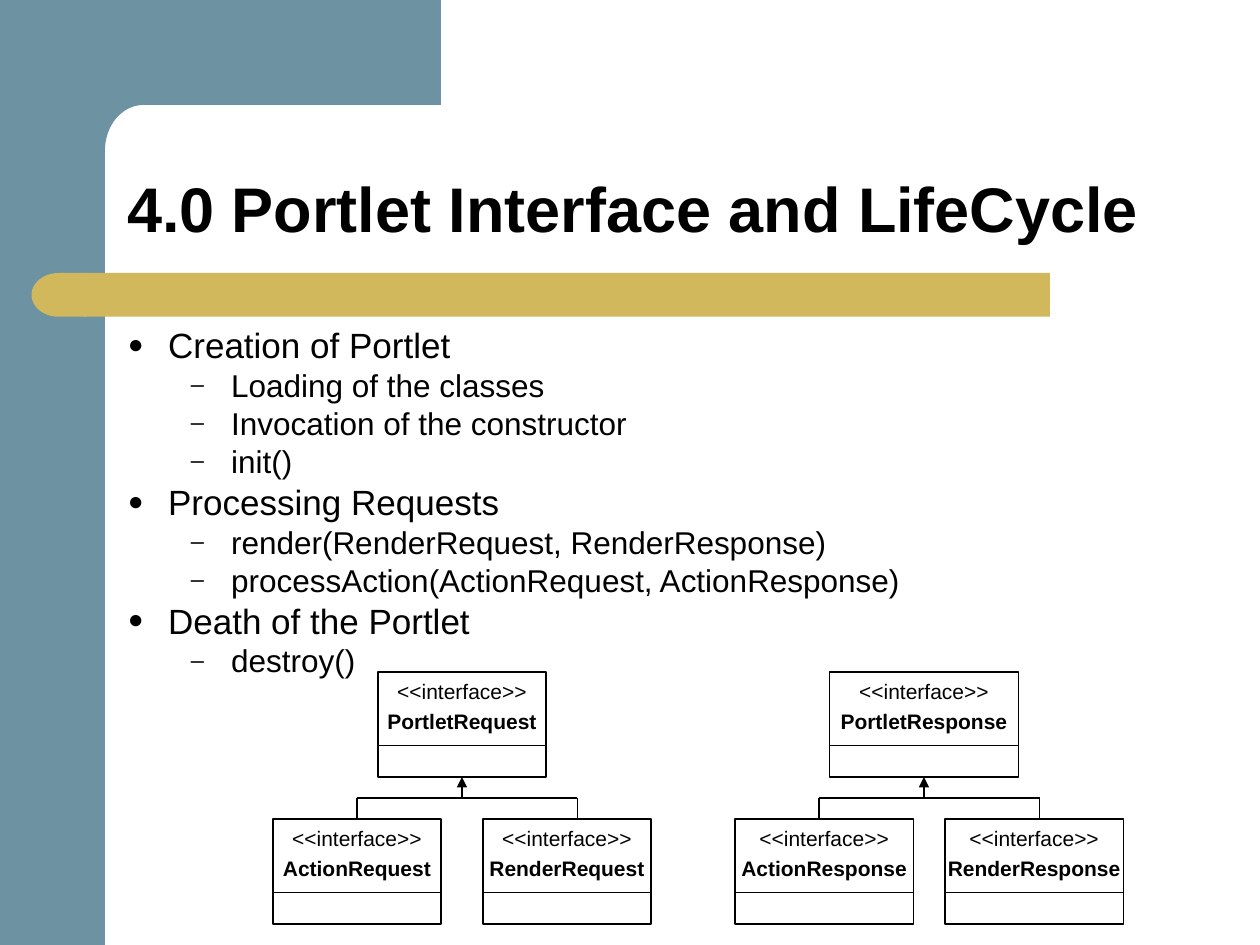
from dataclasses import dataclass
from math import cos, pi, sin

from lxml import etree
from pptx import Presentation
from pptx.dml.color import RGBColor
from pptx.enum.shapes import MSO_CONNECTOR, MSO_SHAPE
from pptx.enum.text import MSO_ANCHOR, PP_ALIGN
from pptx.oxml.ns import qn
from pptx.util import Pt

RECTANGLE, ROUND_CAP = MSO_SHAPE.RECTANGLE, MSO_SHAPE.FLOWCHART_DELAY
STRAIGHT = MSO_CONNECTOR.STRAIGHT
TOP, BOTTOM = MSO_ANCHOR.TOP, MSO_ANCHOR.BOTTOM
CENTER = PP_ALIGN.CENTER
TOP_SIDE, BOTTOM_SIDE = 0, 2


@dataclass(frozen=True)
class Theme:
    font: str = "Arial"
    ink: RGBColor = RGBColor(0x00, 0x00, 0x00)
    slate: RGBColor = RGBColor(0x6D, 0x92, 0xA2)
    gold: RGBColor = RGBColor(0xD1, 0xB8, 0x5C)
    title_size: float = 36
    topic_size: float = 20
    step_size: float = 18
    class_size: float = 12
    line_width: float = 0.75


THEME = Theme()

TITLE = "4.0 Portlet Interface and LifeCycle"
LIFECYCLE = [
    ("Creation of Portlet",
     ["Loading of the classes", "Invocation of the constructor", "init()"]),
    ("Processing Requests",
     ["render(RenderRequest, RenderResponse)",
      "processAction(ActionRequest, ActionResponse)"]),
    ("Death of the Portlet", ["destroy()"]),
]

# Class diagram rows; each class is (name, left, width)
PARENT_TOP, BUS_Y, CHILD_TOP = 384, 456, 468
CLASS_HEIGHT, NAME_HEIGHT = 60, 42
HIERARCHIES = [
    {"parent": ("PortletRequest", 216, 96),
     "children": [("ActionRequest", 156, 96), ("RenderRequest", 276, 96)],
     "stems": [204, 330]},
    {"parent": ("PortletResponse", 474, 108),
     "children": [("ActionResponse", 420, 102), ("RenderResponse", 540, 102)],
     "stems": [468, 594]},
]


def set_all(target, **values):
    for attribute, value in values.items():
        setattr(target, attribute, value)


def write(paragraph, text, size, bold=False, **layout):
    paragraph.text = text
    set_all(paragraph, **layout)
    set_all(paragraph.font, name=THEME.font, size=Pt(size), bold=bold)
    paragraph.font.color.rgb = THEME.ink


def add_bullet(paragraph, char, margin, hanging):
    properties = paragraph._p.get_or_add_pPr()
    properties.set("marL", str(Pt(margin)))
    properties.set("indent", str(-Pt(hanging)))
    etree.SubElement(properties, qn("a:buSzPct"), val="75000")
    etree.SubElement(properties, qn("a:buFont"), typeface=THEME.font)
    etree.SubElement(properties, qn("a:buChar"), char=char)


def paint(shape, color):
    shape.shadow.inherit = False
    shape.fill.solid()
    shape.fill.fore_color.rgb = color
    shape.line.fill.background()


def add_block(slide, kind, left, top, width, height, color):
    block = slide.shapes.add_shape(kind, Pt(left), Pt(top), Pt(width), Pt(height))
    paint(block, color)
    return block


def add_text_frame(slide, left, top, width, height, anchor):
    box = slide.shapes.add_textbox(Pt(left), Pt(top), Pt(width), Pt(height))
    set_all(box.text_frame, word_wrap=True, vertical_anchor=anchor)
    return box.text_frame


def add_line(slide, x1, y1, x2, y2, arrow=False):
    line = slide.shapes.add_connector(STRAIGHT, Pt(x1), Pt(y1), Pt(x2), Pt(y2))
    line.line.color.rgb = THEME.ink
    line.line.width = Pt(THEME.line_width)
    if arrow:
        etree.SubElement(line.line._get_or_add_ln(), qn("a:tailEnd"), type="triangle")
    etree.SubElement(line._element.spPr, qn("a:effectLst"))
    return line


def add_corner(slide):
    """Top band whose inner edge turns into the side band on a rounded corner."""
    center_x, center_y, radius_x, radius_y, steps = 82, 86, 22, 26, 16
    angles = [pi / 2 * step / steps for step in range(steps + 1)]
    curve = [(center_x - radius_x * sin(a), center_y - radius_y * cos(a))
             for a in angles]
    outline = [(252, 0), (252, 60), *curve, (60, 92), (36, 92), (36, 0)]
    points = [(Pt(x), Pt(y)) for x, y in outline]
    builder = slide.shapes.build_freeform(*points[0])
    builder.add_line_segments(points[1:], close=True)
    paint(builder.convert_to_shape(), THEME.slate)


def add_backdrop(slide):
    add_block(slide, RECTANGLE, 0, 0, 60, 540, THEME.slate)
    add_corner(slide)
    add_block(slide, RECTANGLE, 48, 156, 552, 25, THEME.gold)
    cap = add_block(slide, ROUND_CAP, 18, 156, 31, 25, THEME.gold)
    cap.rotation = 180


def add_lifecycle(slide):
    frame = add_text_frame(slide, 66, 186, 606, 210, TOP)
    entries = []
    for topic, steps in LIFECYCLE:
        entries.append((topic, 0))
        entries += [(step, 1) for step in steps]
    styles = [("●", 23, THEME.topic_size, 5), ("–", 59, THEME.step_size, 4.5)]
    for index, (text, level) in enumerate(entries):
        char, margin, size, gap = styles[level]
        paragraph = frame.add_paragraph() if index else frame.paragraphs[0]
        add_bullet(paragraph, char, margin, 23)
        write(paragraph, text, size, level=level, line_spacing=0.8,
              space_before=Pt(gap if index else 0))


def add_class(slide, name, left, width, top):
    box = slide.shapes.add_shape(
        RECTANGLE, Pt(left), Pt(top), Pt(width), Pt(CLASS_HEIGHT))
    box.shadow.inherit = False
    box.fill.background()
    box.line.color.rgb = THEME.ink
    box.line.width = Pt(THEME.line_width)
    frame = box.text_frame
    set_all(frame, word_wrap=False, vertical_anchor=TOP)
    write(frame.paragraphs[0], "<<interface>>", THEME.class_size, alignment=CENTER)
    write(frame.add_paragraph(), name, THEME.class_size, bold=True,
          alignment=CENTER, space_before=Pt(3))
    add_line(slide, left, top + NAME_HEIGHT, left + width, top + NAME_HEIGHT)
    return box


def add_hierarchy(slide, parent, children, stems):
    parent_box = add_class(slide, *parent, PARENT_TOP)
    # Stems rise from the children to the shared bus
    for (name, left, width), x in zip(children, stems):
        child_box = add_class(slide, name, left, width, CHILD_TOP)
        stem = add_line(slide, x, CHILD_TOP, x, BUS_Y)
        if x == left + width / 2:
            stem.begin_connect(child_box, TOP_SIDE)
    add_line(slide, stems[0], BUS_Y, stems[1], BUS_Y)
    # Inheritance arrow into the parent
    _, left, width = parent
    middle = left + width / 2
    arrow = add_line(slide, middle, BUS_Y, middle, PARENT_TOP + CLASS_HEIGHT, True)
    arrow.end_connect(parent_box, BOTTOM_SIDE)


def main():
    deck = Presentation()
    set_all(deck, slide_width=Pt(720), slide_height=Pt(540))
    slide = deck.slides.add_slide(deck.slide_layouts[6])
    add_backdrop(slide)
    title = add_text_frame(slide, 65.5, 65.5, 613, 78.5, BOTTOM)
    write(title.paragraphs[0], TITLE, THEME.title_size, bold=True, line_spacing=0.9)
    add_lifecycle(slide)
    for hierarchy in HIERARCHIES:
        add_hierarchy(slide, **hierarchy)
    deck.save("out.pptx")


if __name__ == "__main__":
    main()
